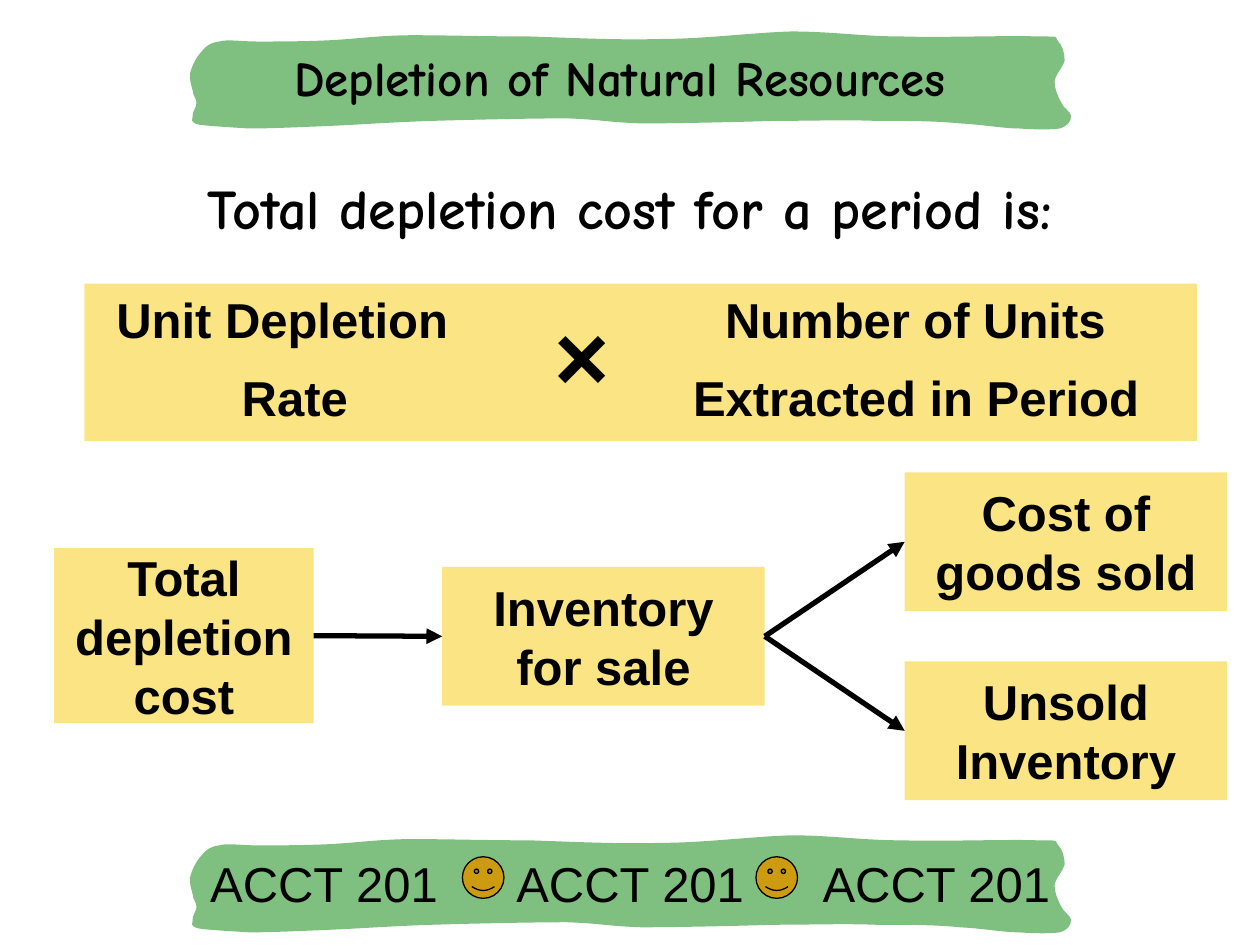
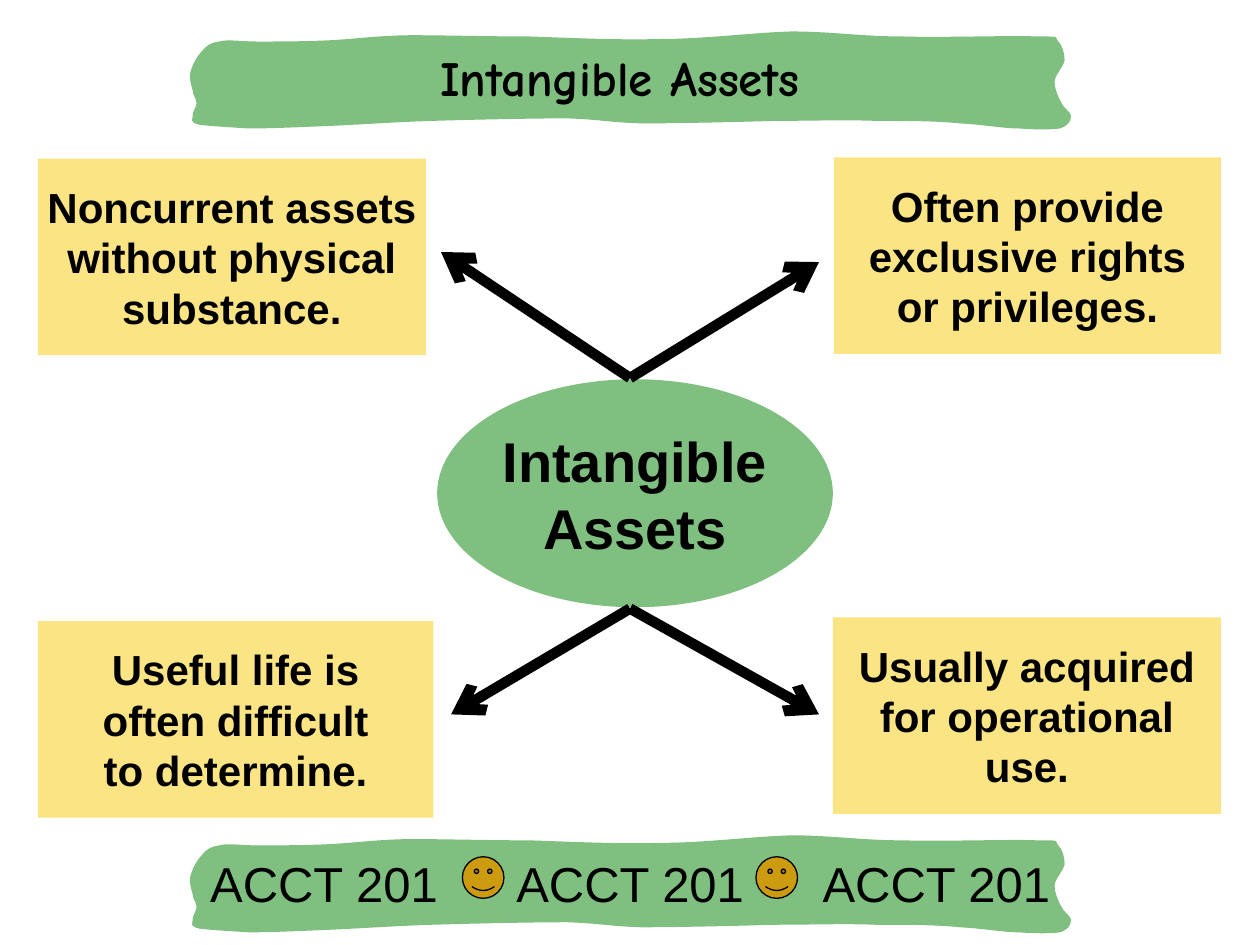
from lxml.etree import SubElement
from pptx import Presentation
from pptx.dml.color import RGBColor
from pptx.enum.shapes import MSO_CONNECTOR as Connector, MSO_SHAPE as Preset
from pptx.enum.text import MSO_ANCHOR as Anchor, PP_ALIGN as Align
from pptx.oxml.ns import qn
from pptx.util import Pt

EMU_PER_PX = 9144
BLACK, GREEN, YELLOW, GOLD = "000000", "008000", "F8CB0A", "CC9B10"
BODY_FONT, HEADING_FONT = "Arial", "Comic Neue"
LEFT, RIGHT = 1, 3
FOOTER_DROP = 638
COURSE, COURSE_PITCH, COURSE_REPEATS = "ACCT 201", 243, 3
RIBBON_CURVES = [
    (670, 95, 645, 96, 614, 96), (583, 97, 536, 98, 509, 98),
    (481, 97, 478, 95, 450, 94), (423, 94, 375, 95, 343, 96),
    (312, 97, 285, 99, 261, 100), (237, 101, 215, 102, 198, 102),
    (181, 101, 165, 100, 158, 99), (150, 97, 153, 95, 153, 92),
    (152, 90, 156, 85, 156, 82), (156, 78, 153, 76, 153, 72),
    (152, 68, 150, 63, 151, 58), (152, 53, 156, 45, 160, 41),
    (164, 36, 167, 34, 174, 33), (181, 31, 190, 33, 205, 33),
    (219, 33, 241, 33, 262, 32), (282, 31, 302, 28, 328, 28),
    (354, 28, 387, 29, 420, 29), (452, 30, 489, 32, 524, 31),
    (559, 31, 596, 26, 628, 25), (660, 25, 684, 29, 716, 29),
    (749, 30, 803, 28, 823, 29), (844, 29, 836, 29, 840, 33),
    (843, 36, 845, 42, 845, 48), (844, 53, 837, 60, 837, 65),
    (837, 71, 840, 77, 842, 81), (844, 86, 850, 89, 850, 92),
    (850, 96, 848, 100, 841, 102), (834, 103, 822, 103, 809, 102),
    (796, 102, 781, 99, 762, 98), (743, 96, 719, 96, 695, 96),
]


def px(*lengths):
    """Turn px lengths into EMU."""
    return [round(length * EMU_PER_PX) for length in lengths]


def rgb(hex_code):
    """Return the colour for a hex string."""
    return RGBColor.from_string(hex_code)


def paint(shape, color, alpha=None, outline=None):
    """Fill a shape, optionally see-through or outlined, without a shadow."""
    shape.shadow.inherit = False
    shape.fill.solid()
    shape.fill.fore_color.rgb = rgb(color)
    if alpha:
        tint = shape.fill._xPr.find(f"{qn('a:solidFill')}/{qn('a:srgbClr')}")
        SubElement(tint, qn("a:alpha"), val=str(alpha * 1000))
    if outline:
        shape.line.color.rgb = rgb(outline)
        shape.line.width = Pt(0.75)
    else:
        shape.line.fill.background()


def write(shape, text, size=28, font=BODY_FONT, bold=True,
          align=Align.CENTER, anchor=Anchor.MIDDLE, wrap=False, tabs=()):
    """Put formatted text, with its line breaks and tabs, into a shape."""
    frame = shape.text_frame
    frame.word_wrap = wrap
    frame.vertical_anchor = anchor
    paragraph = frame.paragraphs[0]
    paragraph.text = text.replace("\n", "\v")
    paragraph.alignment = align
    if tabs:
        stops = SubElement(paragraph._p.get_or_add_pPr(), qn("a:tabLst"))
        for position in px(*tabs):
            SubElement(stops, qn("a:tab"), pos=str(position), algn="l")
    for run in paragraph.runs:
        run.font.size = Pt(size)
        run.font.name = font
        run.font.bold = bold
        run.font.color.rgb = rgb(BLACK)


def label(slide, area, text, **text_format):
    """Add a text box at (left, top, width, height)."""
    box = slide.shapes.add_textbox(*px(*area))
    write(box, text, **{"anchor": Anchor.TOP, "wrap": True, **text_format})


def panel(slide, area, text="", color=YELLOW, preset=Preset.RECTANGLE, **text_format):
    """Add a half-transparent shape with centred text."""
    shape = slide.shapes.add_shape(preset, *px(*area))
    paint(shape, color, alpha=50)
    if text:
        write(shape, text, **text_format)
    return shape


def arrow(slide, start, end, width, head):
    """Draw a black arrow between two points."""
    line = slide.shapes.add_connector(Connector.STRAIGHT, *px(*start, *end))
    line.line.color.rgb = rgb(BLACK)
    line.line.width = Pt(width)
    SubElement(line.line._get_or_add_ln(), qn("a:tailEnd"), type=head)
    SubElement(line._element.spPr, qn("a:effectLst"))
    return line


def flow(slide, source, target):
    """Join the right side of one box to the left side of another."""
    link = arrow(slide, (0, 0), (1, 1), 3, "triangle")
    link.begin_connect(source, RIGHT)
    link.end_connect(target, LEFT)


def ribbon(slide, drop=0):
    """Draw the torn green ribbon with curved edges, lowered by drop px."""
    corners = [tuple(px(x, y + drop)) for *_, x, y in RIBBON_CURVES]
    builder = slide.shapes.build_freeform(*corners[-1])
    builder.add_line_segments(corners, close=True)
    band = builder.convert_to_shape()
    edges = list(band._element.iter(qn("a:lnTo")))
    for edge, curve in zip(edges, RIBBON_CURVES):
        edge.tag = qn("a:cubicBezTo")
        edge.clear()
        for x, y in zip(curve[::2], curve[1::2]):
            across, down = px(x, y + drop)
            SubElement(edge, qn("a:pt"), x=str(across - band.left), y=str(down - band.top))
    paint(band, GREEN, alpha=50)


def footer(slide):
    """Add the course ribbon with its smiley faces."""
    ribbon(slide, FOOTER_DROP)
    stops = [COURSE_PITCH * column for column in range(1, COURSE_REPEATS)]
    label(slide, (157, 672, 700, 58), "\t".join([COURSE] * COURSE_REPEATS),
          bold=False, align=Align.LEFT, anchor=Anchor.MIDDLE, tabs=stops)
    for left in (367, 600):
        smiley = slide.shapes.add_shape(Preset.SMILEY_FACE, *px(left, 680, 33, 33))
        smiley.adjustments[0] = 0.093
        paint(smiley, GOLD, outline=BLACK)


def add_slide(deck, title):
    """Add a blank slide with the shared footer and title ribbon."""
    slide = deck.slides.add_slide(deck.slide_layouts[6])
    footer(slide)
    ribbon(slide)
    label(slide, (167, 33, 650, 57), title, font=HEADING_FONT)
    return slide


def depletion_slide(deck):
    """Show the depletion formula and where the cost flows."""
    slide = add_slide(deck, "Depletion of Natural Resources")
    label(slide, (75, 133, 850, 75), "Total depletion cost for a period is:",
          size=32, font=HEADING_FONT)
    panel(slide, (67, 225, 883, 125))
    for left, top, width, term in (
        (61, 225, 326, "Unit Depletion"),
        (101, 287, 266, "Rate"),
        (538, 225, 377, "Number of Units"),
        (504, 287, 446, "Extracted in Period"),
    ):
        label(slide, (left, top, width, 56), term)
    label(slide, (430, 231, 68, 100), "×", size=54, align=Align.LEFT)

    total_cost = panel(slide, (43, 435, 206, 139), "Total\ndepletion\ncost")
    inventory = panel(slide, (351, 450, 256, 110), "Inventory\nfor sale")
    unsold = panel(slide, (718, 525, 256, 110), "Unsold\nInventory")
    sold = panel(slide, (718, 375, 256, 110), "Cost of\ngoods sold")
    for source, target in ((total_cost, inventory), (inventory, sold), (inventory, unsold)):
        flow(slide, source, target)


def intangibles_slide(deck):
    """Show four traits around the intangible assets hub."""
    slide = add_slide(deck, "Intangible Assets")
    for left, top, width, trait in (
        (30, 126, 308, "Noncurrent assets\nwithout physical\nsubstance."),
        (30, 493, 314, "Useful life is\noften difficult\nto determine."),
        (661, 490, 308, "Usually acquired\nfor operational\nuse."),
        (662, 125, 307, "Often provide\nexclusive rights\nor privileges."),
    ):
        panel(slide, (left, top, width, 156), trait, size=24)
    panel(slide, (347, 301, 314, 181), "Intangible\nAssets",
          color=GREEN, preset=Preset.OVAL, size=32)
    below, above = (500, 483), (500, 300)
    for start, end in (
        (below, (358, 567)), (below, (650, 567)),
        (above, (350, 200)), (above, (650, 208)),
    ):
        arrow(slide, start, end, 6, "arrow")


def main():
    """Build and save the deck."""
    deck = Presentation()
    deck.slide_width, deck.slide_height = px(1000, 750)
    depletion_slide(deck)
    intangibles_slide(deck)
    deck.save("out.pptx")


if __name__ == "__main__":
    main()
